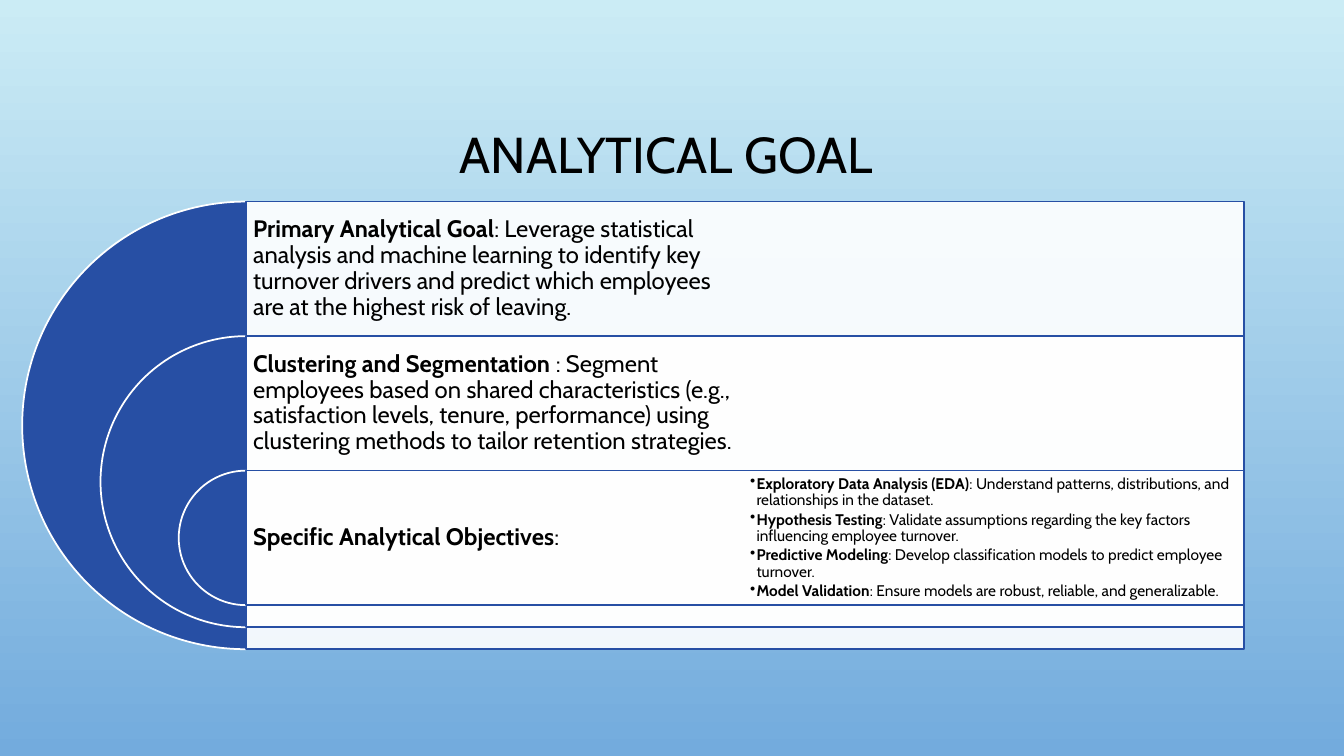
from lxml import etree
from pptx import Presentation
from pptx import util as u
from pptx.dml.color import RGBColor
from pptx.enum import shapes, text
from pptx.oxml.ns import qn

TITLE = "ANALYTICAL GOAL "
GOALS = [
    ("Primary Analytical Goal",
     ": Leverage statistical analysis and machine learning to identify key turnover "
     "drivers and predict which employees are at the highest risk of leaving."),
    ("Clustering and Segmentation",
     " : Segment employees based on shared characteristics (e.g., satisfaction levels, "
     "tenure, performance) using clustering methods to tailor retention strategies."),
    ("Specific Analytical Objectives", ":"),
]
OBJECTIVES = [
    ("Exploratory Data Analysis (EDA)",
     ": Understand patterns, distributions, and relationships in the dataset."),
    ("Hypothesis Testing",
     ": Validate assumptions regarding the key factors influencing employee turnover."),
    ("Predictive Modeling",
     ": Develop classification models to predict employee turnover."),
    ("Model Validation",
     ": Ensure models are robust, reliable, and generalizable."),
]

FONT = "Cabin"
BLACK = RGBColor(0x00, 0x00, 0x00)
WHITE = RGBColor(0xFF, 0xFF, 0xFF)
BLUE = RGBColor(0x27, 0x4F, 0xA4)
SKY_TOP = RGBColor(0xCB, 0xEC, 0xF5)
SKY_BOTTOM = RGBColor(0x73, 0xAB, 0xDD)

# Lengths in centimetres
PANEL_LEFT, PANEL_TOP, PANEL_WIDTH = 6.2, 5.08, 25.15
COLUMN_WIDTH = PANEL_WIDTH / 2
ROW_HEIGHT = 3.39
OUTER_DIAMETER, DIAMETER_STEP = 11.28, 3.945
BULLET_INDENT = 0.16


def add_filled_shape(slide, kind, box, fill, line):
    shape = slide.shapes.add_shape(kind, *map(u.Cm, box))
    shape.shadow.inherit = False
    shape.fill.solid()
    shape.fill.fore_color.rgb = fill
    shape.line.color.rgb = line
    shape.line.width = u.Pt(1.25)
    return shape


def set_opacity(shape, percent):
    color = shape.fill._xPr.find(qn("a:solidFill"))[0]
    etree.SubElement(color, qn("a:alpha"), val=str(percent * 1000))


def format_paragraph(paragraph, size):
    paragraph.line_spacing = 0.9
    paragraph.font.name = FONT
    paragraph.font.size = u.Pt(size)
    paragraph.font.color.rgb = BLACK


def add_bullet(paragraph):
    properties = paragraph._p.get_or_add_pPr()
    indent = u.Cm(BULLET_INDENT)
    properties.set("marL", str(indent))
    properties.set("indent", str(-indent))
    bullet = etree.Element(qn("a:buChar"), char="•")
    properties.find(qn("a:defRPr")).addprevious(bullet)


def add_entries(slide, left, top, entries, size, inset, bulleted=False):
    """Add a text box with one paragraph per (bold term, description) pair."""
    box = slide.shapes.add_textbox(*map(u.Cm, (left, top, COLUMN_WIDTH, ROW_HEIGHT)))
    frame = box.text_frame
    frame.word_wrap = True
    frame.vertical_anchor = text.MSO_ANCHOR.MIDDLE
    frame.margin_left = frame.margin_right = u.Cm(inset)
    frame.margin_top = frame.margin_bottom = u.Cm(inset)
    for index, (term, description) in enumerate(entries):
        paragraph = frame.add_paragraph() if index else frame.paragraphs[0]
        format_paragraph(paragraph, size)
        term_run = paragraph.add_run()
        term_run.text = term
        term_run.font.bold = True
        paragraph.add_run().text = description
        if bulleted:
            paragraph.space_after = u.Pt(1.8)
            add_bullet(paragraph)


def add_background(slide):
    fill = slide.background.fill
    fill.gradient()
    fill.gradient_angle = 270
    for stop, color, position in zip(fill.gradient_stops, (SKY_TOP, SKY_BOTTOM), (0, 1)):
        stop.color.rgb = color
        stop.position = position


def add_title(slide):
    title = slide.shapes.title
    title.left, title.top, title.width, title.height = map(u.Cm, (2.54, 1.73, 28.78, 4.44))
    title.text_frame.text = TITLE
    title.text_frame.vertical_anchor = text.MSO_ANCHOR.MIDDLE
    paragraph = title.text_frame.paragraphs[0]
    paragraph.alignment = text.PP_ALIGN.CENTER
    format_paragraph(paragraph, 36)


def add_goal_row(slide, index, goal):
    """Add a half disc, its panel and the goal; each row nests in the one before."""
    top = PANEL_TOP + index * ROW_HEIGHT
    diameter = OUTER_DIAMETER - index * DIAMETER_STEP
    disc_box = (PANEL_LEFT - diameter / 2, top, diameter, diameter)
    half_disc = add_filled_shape(slide, shapes.MSO_SHAPE.PIE, disc_box, BLUE, WHITE)
    half_disc.adjustments[0] = 54
    half_disc.adjustments[1] = 162
    panel_box = (PANEL_LEFT, top, PANEL_WIDTH, diameter)
    panel = add_filled_shape(slide, shapes.MSO_SHAPE.RECTANGLE, panel_box, WHITE, BLUE)
    set_opacity(panel, 90)
    add_entries(slide, PANEL_LEFT, top, [goal], 17, 0.18)


def main():
    presentation = Presentation()
    presentation.slide_width = u.Cm(33.87)
    presentation.slide_height = u.Cm(19.05)
    slide = presentation.slides.add_slide(presentation.slide_layouts[5])
    add_background(slide)
    add_title(slide)
    for index, goal in enumerate(GOALS):
        add_goal_row(slide, index, goal)
    last_row_top = PANEL_TOP + (len(GOALS) - 1) * ROW_HEIGHT
    add_entries(slide, PANEL_LEFT + COLUMN_WIDTH, last_row_top, OBJECTIVES, 11, 0.13,
                bulleted=True)
    presentation.save("out.pptx")


if __name__ == "__main__":
    main()
